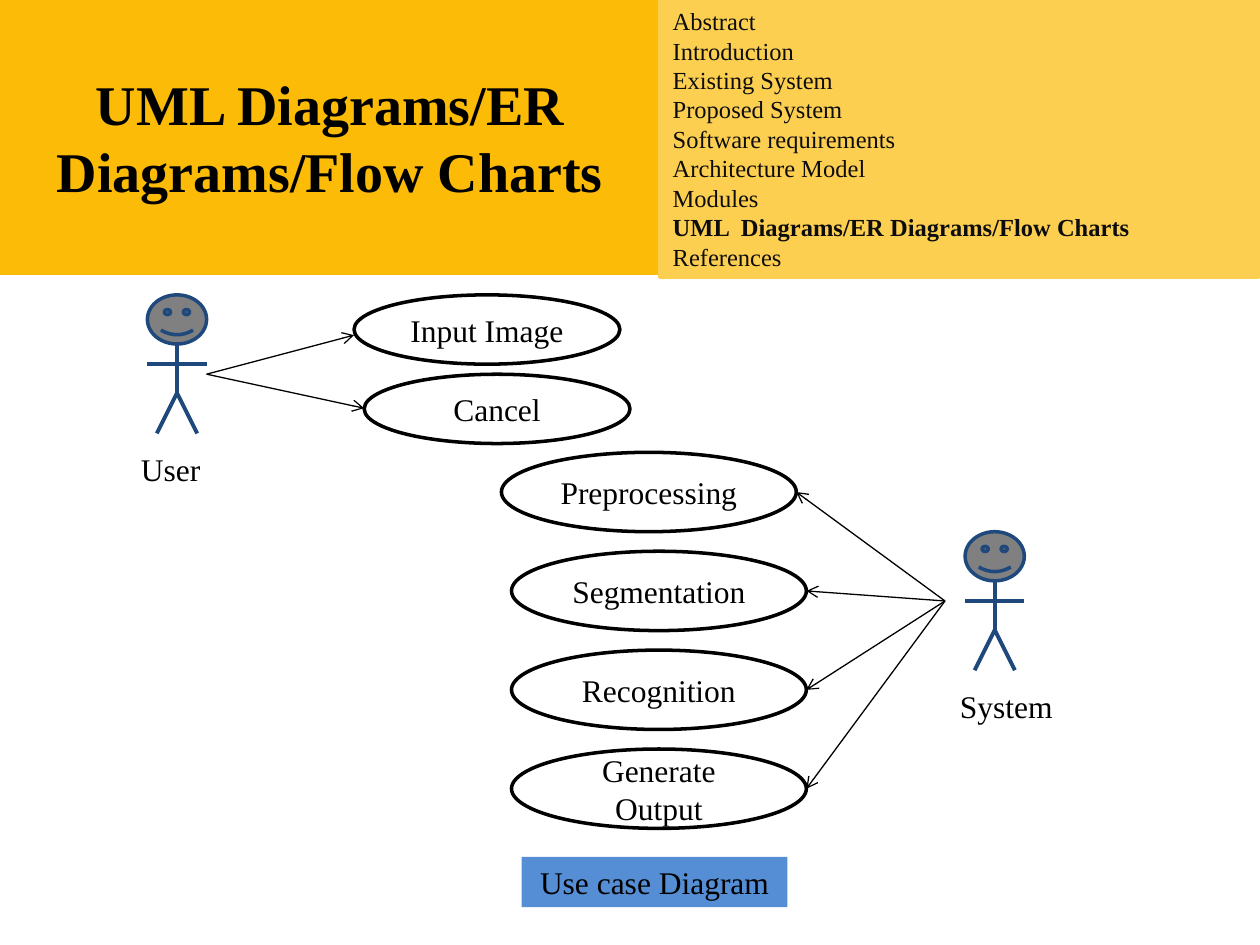
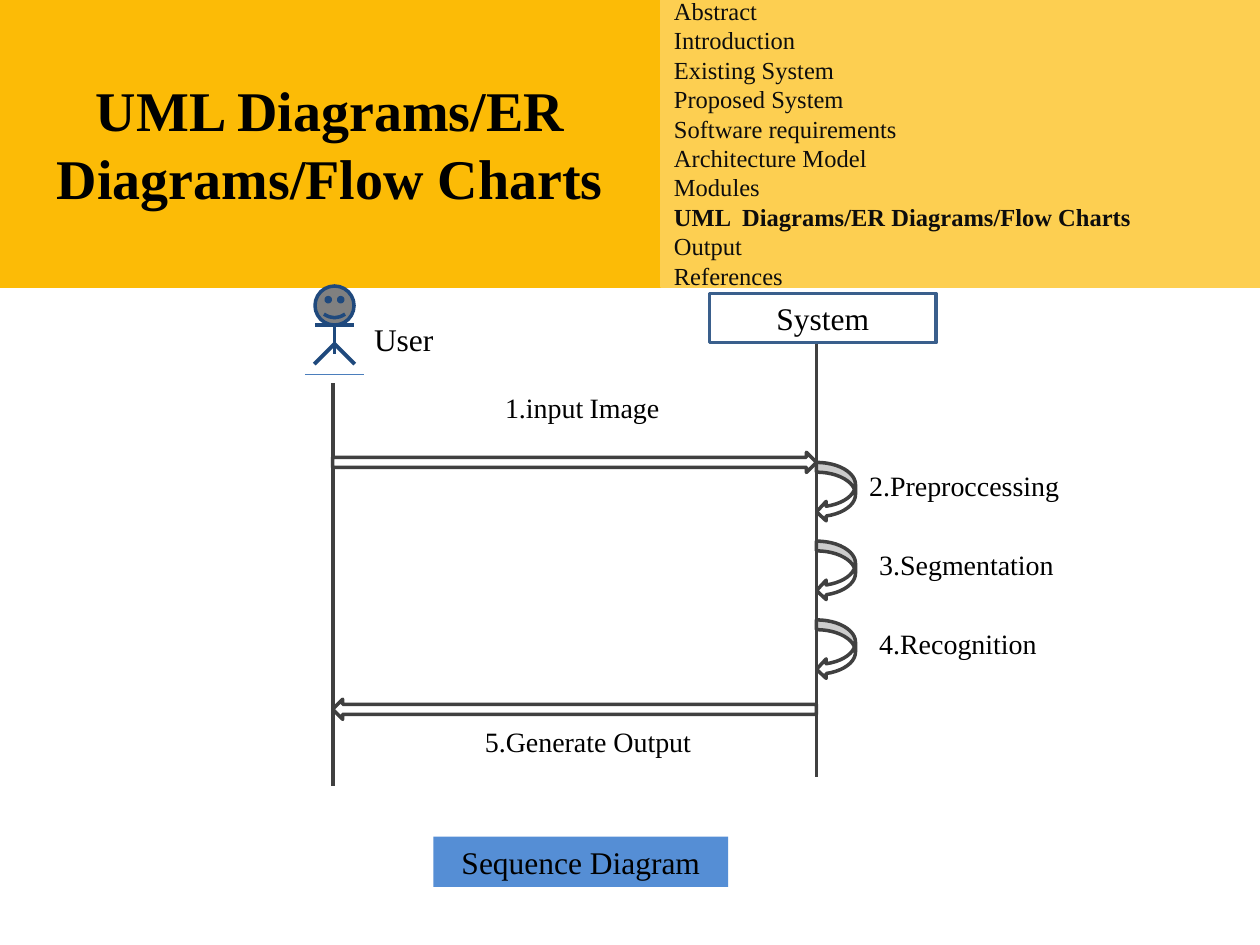
from dataclasses import dataclass

from lxml import etree
from pptx import Presentation
from pptx.dml.color import RGBColor
from pptx.enum.shapes import MSO_CONNECTOR, MSO_SHAPE as SHAPE
from pptx.enum.text import MSO_ANCHOR as ANCHOR, MSO_AUTO_SIZE as AUTO_SIZE, PP_ALIGN as ALIGN
from pptx.oxml.ns import qn
from pptx.util import Inches, Pt

# Shared look
FONT = "Times New Roman"
BLACK, WHITE = "000000", "FFFFFF"
AMBER, PALE_AMBER, AGENDA_INK = "FCBB06", "FDCF51", "0D0D0D"
NAVY, GREY, BOX_BLUE = "1F497D", "808080", "3A5F8C"
DARK, BASE_BLUE, CAPTION_BLUE = "404040", "4B7EBC", "558ED5"

TITLE = "UML Diagrams/ER Diagrams/Flow Charts"
CURRENT_TOPIC = "UML  Diagrams/ER Diagrams/Flow Charts"
TOPICS = ["Abstract", "Introduction", "Existing System", "Proposed System",
          "Software requirements", "Architecture Model", "Modules", CURRENT_TOPIC]


@dataclass
class Figure:
    """Proportions of a stick figure, measured down from the top of its head."""
    width: float
    head: float
    arms: float
    hip: float
    body_end: float
    feet: float
    stride: float


TALL_FIGURE = Figure(0.47, 0.39, 0.55, 0.78, 0.78, 1.1, 0.16)
SMALL_FIGURE = Figure(0.31, 0.31, 0.31, 0.46, 0.54, 0.62, 0.16)


def color(value):
    return RGBColor.from_string(value)


def paint(shape, fill=None, line=None, width=2):
    if fill:
        shape.fill.solid()
        shape.fill.fore_color.rgb = color(fill)
    else:
        shape.fill.background()
    if line:
        shape.line.color.rgb = color(line)
        shape.line.width = Pt(width)
    else:
        shape.line.fill.background()


def add_run(paragraph, text, size, ink=BLACK, bold=False):
    run = paragraph.add_run()
    run.text = text
    run.font.name = FONT
    run.font.size = Pt(size)
    run.font.bold = bold
    run.font.color.rgb = color(ink)


def add_shape(slide, kind, box, fill=None, line=None, text=None, size=18):
    shape = slide.shapes.add_shape(kind, *map(Inches, box))
    shape.shadow.inherit = False
    paint(shape, fill, line)
    if text:
        shape.text_frame.vertical_anchor = ANCHOR.MIDDLE
        paragraph = shape.text_frame.paragraphs[0]
        paragraph.alignment = ALIGN.CENTER
        add_run(paragraph, text, size)
    return shape


def add_label(slide, box, *runs):
    frame = slide.shapes.add_textbox(*map(Inches, box)).text_frame
    frame.word_wrap = False
    for text, size in runs:
        add_run(frame.paragraphs[0], text, size)


def add_line(slide, start, end, ink, width=2.25, arrow=False):
    line = slide.shapes.add_connector(MSO_CONNECTOR.STRAIGHT, *map(Inches, (*start, *end)))
    line.line.color.rgb = color(ink)
    line.line.width = Pt(width)
    if arrow:
        etree.SubElement(line.line._get_or_add_ln(), qn("a:tailEnd"), type="arrow")
    etree.SubElement(line._element.spPr, qn("a:effectLst"))


def add_header(slide, title_box, agenda_box, topics):
    # Title band
    title = slide.shapes.title
    title.left, title.top, title.width, title.height = map(Inches, title_box)
    paint(title, AMBER, AMBER)
    frame = title.text_frame
    frame.auto_size = AUTO_SIZE.NONE
    frame.vertical_anchor = ANCHOR.MIDDLE
    frame.paragraphs[0].alignment = ALIGN.CENTER
    add_run(frame.paragraphs[0], TITLE, 32, bold=True)

    # Agenda band
    agenda = add_shape(slide, SHAPE.RECTANGLE, agenda_box, PALE_AMBER, PALE_AMBER)
    frame = agenda.text_frame
    frame.vertical_anchor = ANCHOR.MIDDLE
    for index, topic in enumerate(topics):
        paragraph = frame.add_paragraph() if index else frame.paragraphs[0]
        paragraph.alignment = ALIGN.LEFT
        add_run(paragraph, topic, 14, AGENDA_INK, topic == CURRENT_TOPIC)


def add_actor(slide, left, top, figure):
    middle = left + figure.width / 2
    hip = (middle, top + figure.hip)
    add_shape(slide, SHAPE.SMILEY_FACE, (left, top, figure.width, figure.head), GREY, NAVY)
    add_line(slide, (middle, top + figure.head), (middle, top + figure.body_end), NAVY)
    add_line(slide, (left, top + figure.arms), (left + figure.width, top + figure.arms), NAVY)
    for side in (-1, 1):
        add_line(slide, hip, (middle + side * figure.stride, top + figure.feet), NAVY)


def add_caption(slide, box, text):
    add_shape(slide, SHAPE.RECTANGLE, box, CAPTION_BLUE, text=text)


def add_use_cases(slide, left, top):
    # Actors
    add_actor(slide, left + 0.15, top, TALL_FIGURE)
    add_label(slide, (left, top + 1.18, 0.68, 0.4), ("User", 18))
    add_actor(slide, left + 6.64, top + 1.88, TALL_FIGURE)
    add_label(slide, (left + 6.5, top + 3.06, 0.94, 0.4), ("System", 18))

    # Cases of the user: name, left, top, height of the arrow tip
    user_hand = (left + 0.62, top + 0.63)
    for name, x, y, tip in [("Input Image", 1.79, 0, 0.32), ("Cancel", 1.87, 0.63, 0.9)]:
        add_shape(slide, SHAPE.OVAL, (left + x, top + y, 2.11, 0.55), line=BLACK, text=name)
        add_line(slide, user_hand, (left + x, top + tip), BLACK, 0.75, arrow=True)

    # Cases of the system, evenly stacked
    system_hand = (left + 6.48, top + 2.43)
    width, height, pitch = 2.34, 0.63, 0.785
    cases = [("Preprocessing", 2.96), ("Segmentation", 3.04),
             ("Recognition", 3.04), ("Generate Output", 3.04)]
    for row, (name, x) in enumerate(cases):
        y = top + 1.25 + row * pitch
        add_shape(slide, SHAPE.OVAL, (left + x, y, width, height), line=BLACK, text=name)
        add_line(slide, system_hand, (left + x + width, y + height / 2), BLACK, 0.75, arrow=True)


def add_sequence(slide, left, top):
    user_x, system_x = left + 0.22, left + 4.06

    # Participants and lifelines
    add_actor(slide, left + 0.08, top, SMALL_FIGURE)
    add_label(slide, (left + 0.45, top + 0.22, 0.71, 0.4), ("User", 18))
    add_line(slide, (left, top + 0.7), (left + 0.47, top + 0.7), BASE_BLUE, 0.75)
    add_shape(slide, SHAPE.RECTANGLE, (left + 3.21, top + 0.06, 1.8, 0.39),
              WHITE, BOX_BLUE, "System")
    add_line(slide, (user_x, top + 0.77), (user_x, top + 3.97), DARK)
    add_line(slide, (system_x, top + 0.46), (system_x, top + 3.9), DARK)

    # Messages between the lifelines
    span = system_x - user_x
    for kind, y in [(SHAPE.RIGHT_ARROW, 1.32), (SHAPE.LEFT_ARROW, 3.28)]:
        add_shape(slide, kind, (user_x, top + y, span, 0.16), WHITE, DARK)
    add_label(slide, (left + 1.49, top + 0.78, 1.45, 0.37),
              ("1.input", 16), (" ", 14), ("Image", 16))
    add_label(slide, (left + 1.33, top + 3.43, 1.92, 0.37), ("5.Generate Output", 16))

    # Steps the system takes by itself
    steps = [("2.Preproccessing", 0.32, 1.74), ("3.Segmentation", 0.4, 1.64),
             ("4.Recognition", 0.4, 1.47)]
    for row, (name, gap, width) in enumerate(steps):
        y = top + 1.4 + row * 0.625
        add_shape(slide, SHAPE.CURVED_LEFT_ARROW, (system_x, y, 0.31, 0.47), WHITE, DARK)
        add_label(slide, (system_x + gap, y, width, 0.37), (name, 16))


def main():
    presentation = Presentation()
    presentation.slide_width, presentation.slide_height = Inches(10), Inches(7.5)
    title_only = presentation.slide_layouts[5]

    # Use case slide
    slide = presentation.slides.add_slide(title_only)
    add_header(slide, (0, 0, 5.24, 2.17), (5.24, 0, 4.75, 2.2), TOPICS + ["References"])
    add_use_cases(slide, 1.02, 2.34)
    add_caption(slide, (4.14, 6.8, 2.11, 0.4), "Use case Diagram")

    # Sequence slide
    slide = presentation.slides.add_slide(title_only)
    add_header(slide, (0, 0, 5.24, 2.27), (5.25, 0, 4.75, 2.27),
               TOPICS + ["Output", "References"])
    add_sequence(slide, 2.42, 2.27)
    add_caption(slide, (3.44, 6.64, 2.34, 0.4), "Sequence Diagram")

    presentation.save("out.pptx")


if __name__ == "__main__":
    main()
